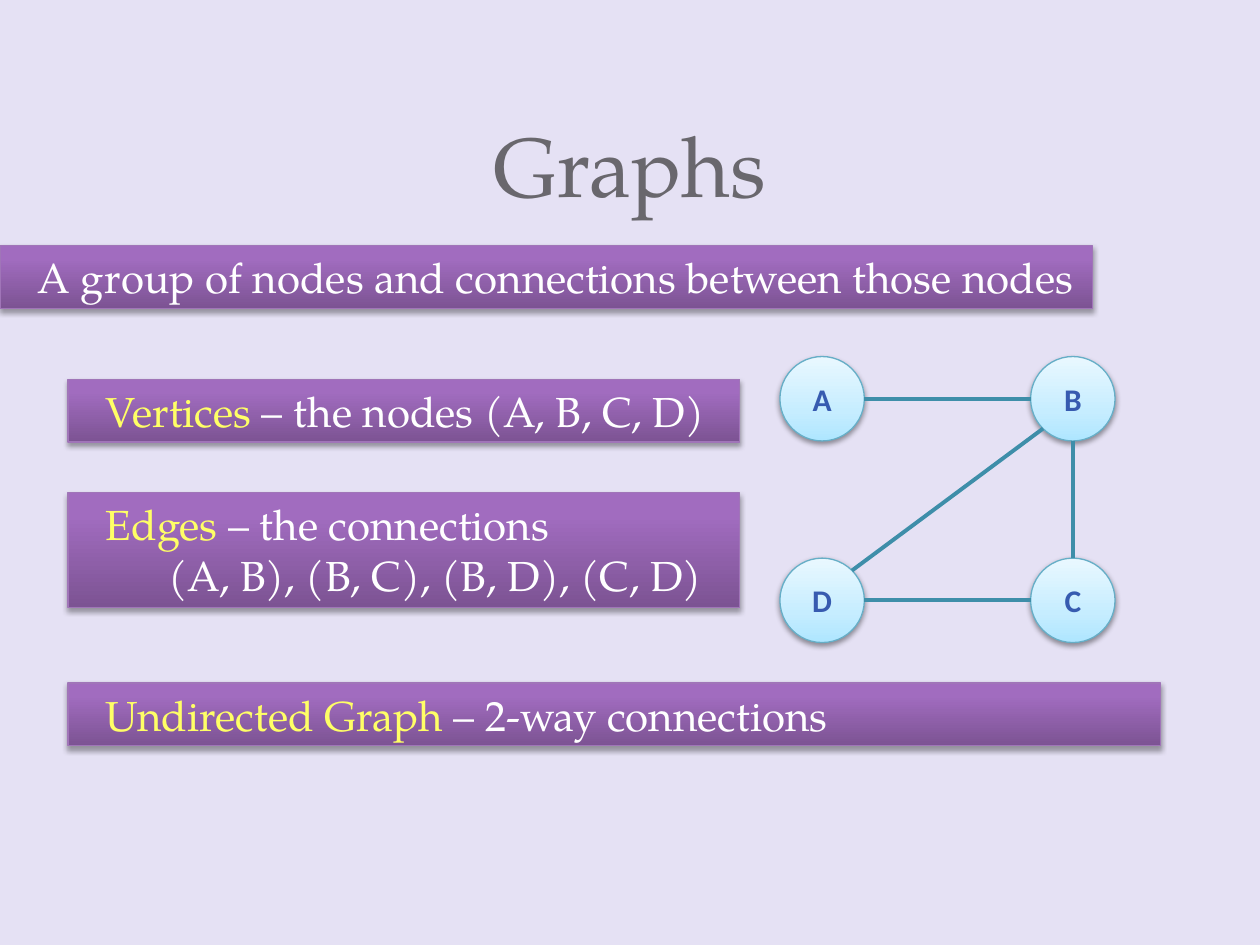
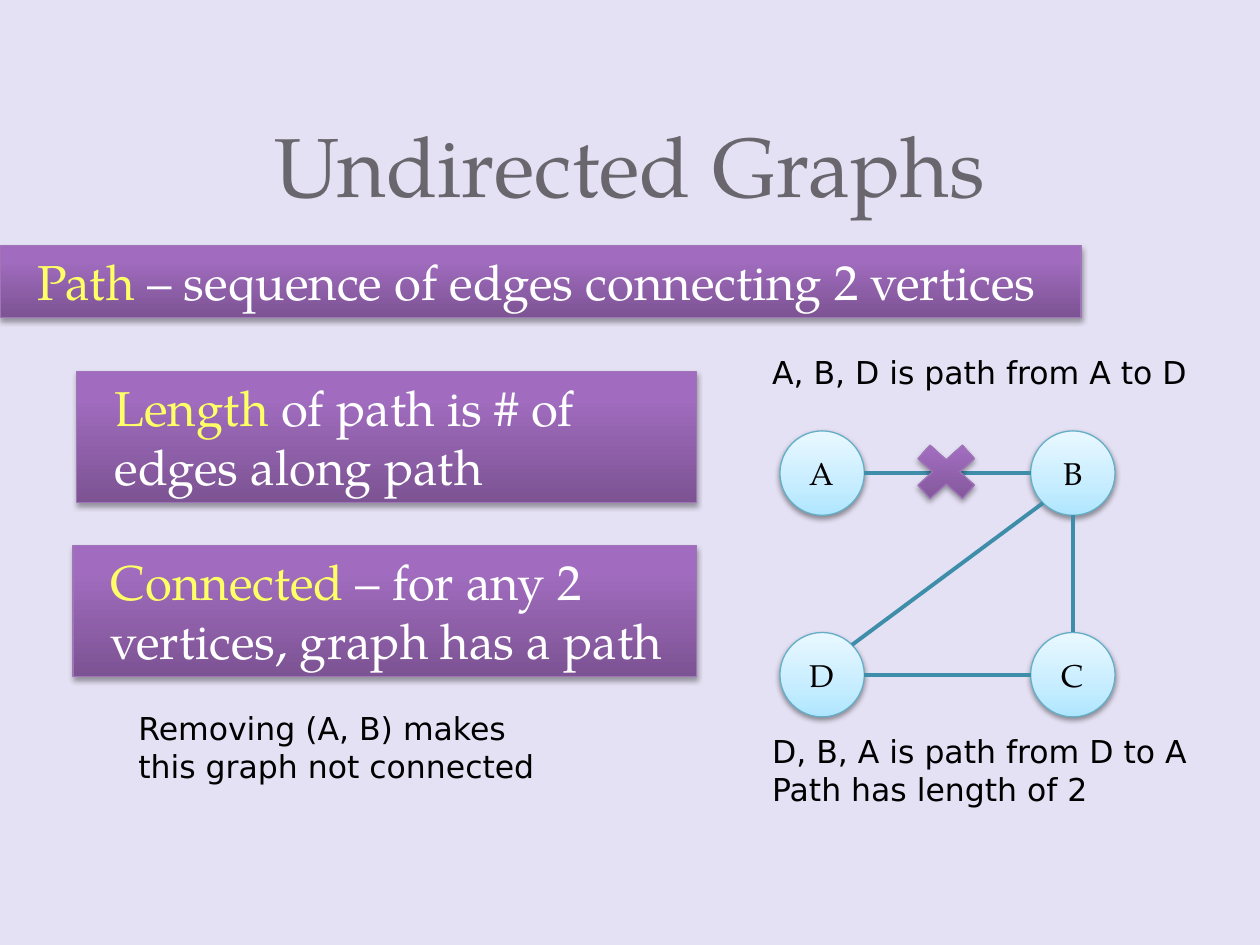
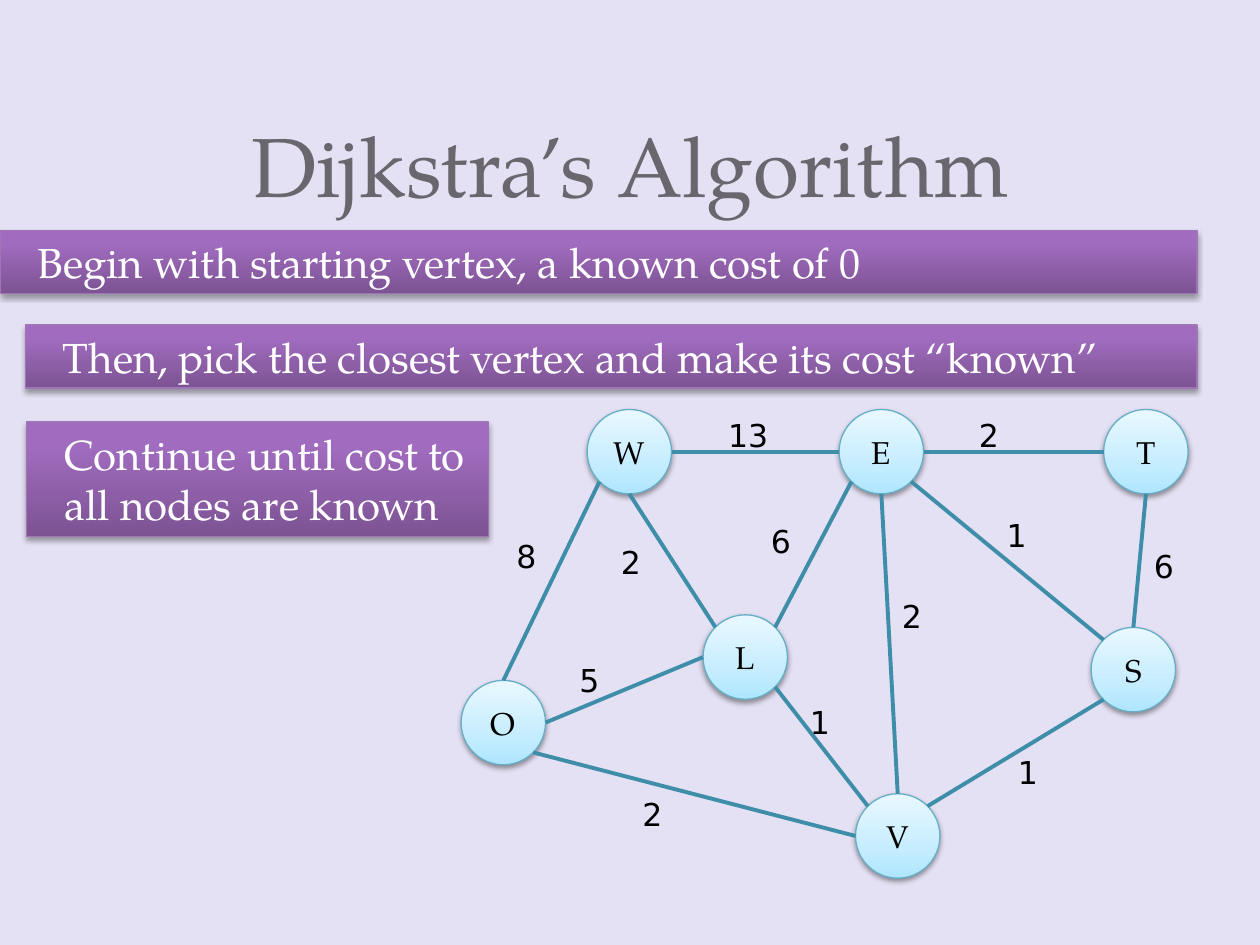
"""Build three slides on graphs, undirected graphs and Dijkstra's algorithm."""
from math import sqrt

from lxml import etree
from pptx import Presentation
from pptx.dml.color import RGBColor
from pptx.enum.shapes import MSO_CONNECTOR, MSO_SHAPE
from pptx.enum.text import MSO_ANCHOR, MSO_AUTO_SIZE, PP_ALIGN
from pptx.oxml.ns import qn
from pptx.util import Inches, Pt

RECTANGLE, OVAL, CROSS = MSO_SHAPE.RECTANGLE, MSO_SHAPE.OVAL, MSO_SHAPE.MATH_MULTIPLY
STRAIGHT = MSO_CONNECTOR.STRAIGHT
CENTER = PP_ALIGN.CENTER
MIDDLE, BOTTOM = MSO_ANCHOR.MIDDLE, MSO_ANCHOR.BOTTOM
GROW, FIXED = MSO_AUTO_SIZE.SHAPE_TO_FIT_TEXT, MSO_AUTO_SIZE.NONE

SERIF, SANS, NODE_SANS = "TeX Gyre Pagella", "DejaVu Sans", "Calibri"
COLORS = {
    "background": "E5E1F4", "title": "69676D", "white": "FFFFFF", "black": "000000",
    "term": "FFFF66", "edge": "3E8EA9", "node_name": "375BB0",
}
BAND_STYLE = {
    "stops": [(0, "7C5393"), (80, "A16CBF"), (100, "A26BC1")],
    "outline": "A075B8", "shadow_alpha": 35, "shadow_distance": 1.8,
}
NODE_STYLE = {
    "stops": [(0, "AEE6FF"), (35, "C6EDFF"), (100, "E9F8FF")],
    "outline": "66AEC7", "shadow_alpha": 38, "shadow_distance": 1.6,
}

NODE_SIZE = 0.67
DIAGONAL = 1 / sqrt(2)
SITES = {
    "N": (0, -1), "E": (1, 0), "S": (0, 1), "W": (-1, 0),
    "NE": (DIAGONAL, -DIAGONAL), "SE": (DIAGONAL, DIAGONAL),
    "SW": (-DIAGONAL, DIAGONAL), "NW": (-DIAGONAL, -DIAGONAL),
}
SQUARE_LEFT, SQUARE_STEP_X, SQUARE_STEP_Y = 6.19, 1.99, 1.6
SQUARE_CELLS = {"A": (0, 0), "B": (1, 0), "C": (1, 1), "D": (0, 1)}
SQUARE_EDGES = [
    ("D", "NE", "B", "SW"), ("A", "E", "B", "W"),
    ("C", "N", "B", "S"), ("C", "W", "D", "E"),
]

GRAPH_BANDS = [
    ((0, 1.95, 8.67, 0.5), "", ["A group of nodes and connections between those nodes"]),
    ((0.54, 3.01, 5.33, 0.5), "Vertices ", ["– the nodes (A, B, C, D)"]),
    ((0.54, 3.91, 5.33, 0.91), "Edges ",
     ["– the connections", "(A, B), (B, C), (B, D), (C, D)"]),
    ((0.54, 5.42, 8.67, 0.5), "Undirected Graph ", ["– 2-way connections"]),
]
PATH_BANDS = [
    ((0, 1.95, 8.58, 0.57), "Path ", ["– sequence of edges connecting 2 vertices"]),
    ((0.61, 2.95, 4.92, 1.04), "Length ", ["of path is # of edges along path"]),
    ((0.58, 4.33, 4.95, 1.04), "Connected ", ["– for any 2 vertices, graph has a path"]),
]
PATH_REMARKS = [
    ((6.03, 2.75, 3.64, 0.4), ["A, B, D is path from A to D"]),
    ((6.03, 5.76, 3.64, 0.71), ["D, B, A is path from D to A", "Path has length of 2"]),
    ((1, 5.58, 3.64, 0.71), ["Removing (A, B) makes this graph not connected"]),
]
REMOVED_EDGE_MARK = (7.17, 3.44, 0.68, 0.61)
DIJKSTRA_BANDS = [
    ((0, 1.83, 9.5, 0.5), "", ["Begin with starting vertex, a known cost of 0"]),
    ((0.2, 2.58, 9.3, 0.5), "", ["Then, pick the closest vertex and make its cost “known”"]),
    ((0.21, 3.35, 3.67, 0.91), "", ["Continue until cost to all nodes are known"]),
]
DIJKSTRA_NODES = {
    "W": (4.66, 3.25), "E": (6.66, 3.25), "T": (8.76, 3.25), "S": (8.66, 4.98),
    "V": (6.79, 6.3), "L": (5.58, 4.88), "O": (3.66, 5.4),
}
DIJKSTRA_EDGES = [
    ("V", "N", "E", "S"), ("W", "E", "E", "W"), ("S", "NW", "E", "SE"),
    ("S", "SW", "V", "NE"), ("W", "SW", "O", "N"), ("W", "S", "L", "NW"),
    ("L", "NE", "E", "SW"), ("T", "S", "S", "N"), ("O", "SE", "V", "W"),
    ("O", "E", "L", "W"), ("V", "NW", "L", "SE"), ("E", "E", "T", "W"),
]
DIJKSTRA_COSTS = [
    ("2", 7.06, 4.69), ("13", 5.68, 3.25), ("1", 7.89, 4.05), ("1", 7.98, 5.93),
    ("8", 4, 4.21), ("2", 4.83, 4.26), ("6", 6.02, 4.09), ("6", 9.06, 4.29),
    ("2", 5, 6.26), ("5", 4.5, 5.2), ("1", 6.33, 5.53), ("2", 7.67, 3.25),
]


def inches(values):
    return [Inches(value) for value in values]


def write(shape, lines, *, size=18, font=SANS, color="black", bold=False, term="",
          align=None, anchor=None, fit=GROW, left_inset=0.1, hanging=0, leading=None):
    frame = shape.text_frame
    frame.word_wrap = True
    frame.auto_size = fit
    frame.margin_left = Inches(left_inset)
    if anchor is not None:
        frame.vertical_anchor = anchor
    for index, line in enumerate(lines):
        paragraph = frame.add_paragraph() if index else frame.paragraphs[0]
        paragraph.alignment = align
        if leading:
            paragraph.line_spacing = Pt(leading)
        if index and hanging:
            paragraph._p.get_or_add_pPr().set("marL", str(Inches(hanging)))
        pieces = [(line, color)]
        if term and index == 0:
            pieces.insert(0, (term, "term"))
        for words, shade in pieces:
            run = paragraph.add_run()
            run.text = words
            run.font.size, run.font.name, run.font.bold = Pt(size), font, bold
            run.font.color.rgb = RGBColor.from_string(COLORS[shade])


def add_glossy(shapes, preset, place, style):
    shape = shapes.add_shape(preset, *inches(place))
    shape.fill.gradient()
    shape.fill.gradient_angle = 90
    properties = shape._element.spPr
    stops = properties.find(qn("a:gradFill")).find(qn("a:gsLst"))
    for stop in list(stops):
        stops.remove(stop)
    for percent, color in style["stops"]:
        stop = etree.SubElement(stops, qn("a:gs"), pos=str(percent * 1000))
        etree.SubElement(stop, qn("a:srgbClr"), val=color)
    shape.line.color.rgb = RGBColor.from_string(style["outline"])
    shape.line.width = Pt(0.75)
    shape.shadow.inherit = False
    shadow = etree.SubElement(
        properties.find(qn("a:effectLst")), qn("a:outerShdw"),
        blurRad=str(Pt(3.1)), dist=str(Pt(style["shadow_distance"])),
        dir="5400000", rotWithShape="0")
    tint = etree.SubElement(shadow, qn("a:srgbClr"), val=COLORS["black"])
    etree.SubElement(tint, qn("a:alpha"), val=str(style["shadow_alpha"] * 1000))
    return shape


def add_bands(slide, bands, size):
    for place, term, lines in bands:
        band = add_glossy(slide.shapes, RECTANGLE, place, BAND_STYLE)
        write(band, lines, term=term, size=size, font=SERIF, color="white",
              align=PP_ALIGN.LEFT, anchor=MSO_ANCHOR.TOP, left_inset=0.3, hanging=0.5)


def site_point(corner, site):
    radius = NODE_SIZE / 2
    return [start + radius * (1 + shift) for start, shift in zip(corner, SITES[site])]


def add_graph(slide, nodes, edges, **name_format):
    group = slide.shapes.add_group_shape()
    name_format = {"font": SERIF, **name_format}
    for name, corner in nodes.items():
        node = add_glossy(group.shapes, OVAL, (*corner, NODE_SIZE, NODE_SIZE), NODE_STYLE)
        write(node, [name], align=CENTER, anchor=MIDDLE, fit=FIXED, **name_format)
    for start, start_site, end, end_site in edges:
        ends = site_point(nodes[start], start_site) + site_point(nodes[end], end_site)
        edge = group.shapes.add_connector(STRAIGHT, *inches(ends))
        edge.line.color.rgb = RGBColor.from_string(COLORS["edge"])
        edge.line.width = Pt(2.25)
        etree.SubElement(edge._element.spPr, qn("a:effectLst"))
    return group


def square_nodes(top):
    return {name: (SQUARE_LEFT + column * SQUARE_STEP_X, top + row * SQUARE_STEP_Y)
            for name, (column, row) in SQUARE_CELLS.items()}


def add_titled_slide(deck, heading):
    slide = deck.slides.add_slide(deck.slide_layouts[5])
    title = slide.shapes.title
    title.left, title.top, title.width, title.height = inches((0.5, 0, 9, 1.75))
    write(title, [heading], size=48, font=SERIF, color="title", align=CENTER,
          anchor=BOTTOM, fit=FIXED, leading=58)
    return slide


def main():
    deck = Presentation()
    deck.slide_width, deck.slide_height = inches((10, 7.5))
    backdrop = deck.slide_master.background.fill
    backdrop.solid()
    backdrop.fore_color.rgb = RGBColor.from_string(COLORS["background"])

    graphs = add_titled_slide(deck, "Graphs")
    add_bands(graphs, GRAPH_BANDS, 24)
    add_graph(graphs, square_nodes(2.83), SQUARE_EDGES,
              font=NODE_SANS, color="node_name", bold=True)

    paths = add_titled_slide(deck, "Undirected Graphs")
    add_bands(paths, PATH_BANDS, 28)
    add_graph(paths, square_nodes(3.42), SQUARE_EDGES)
    for place, lines in PATH_REMARKS:
        write(paths.shapes.add_textbox(*inches(place)), lines)
    add_glossy(paths.shapes, CROSS, REMOVED_EDGE_MARK, BAND_STYLE)

    dijkstra = add_titled_slide(deck, "Dijkstra’s Algorithm")
    add_bands(dijkstra, DIJKSTRA_BANDS, 24)
    network = add_graph(dijkstra, DIJKSTRA_NODES, DIJKSTRA_EDGES)
    for cost, left, top in DIJKSTRA_COSTS:
        write(network.shapes.add_textbox(*inches((left, top, 0.77, 0.4))), [cost])

    deck.save("out.pptx")


if __name__ == "__main__":
    main()
